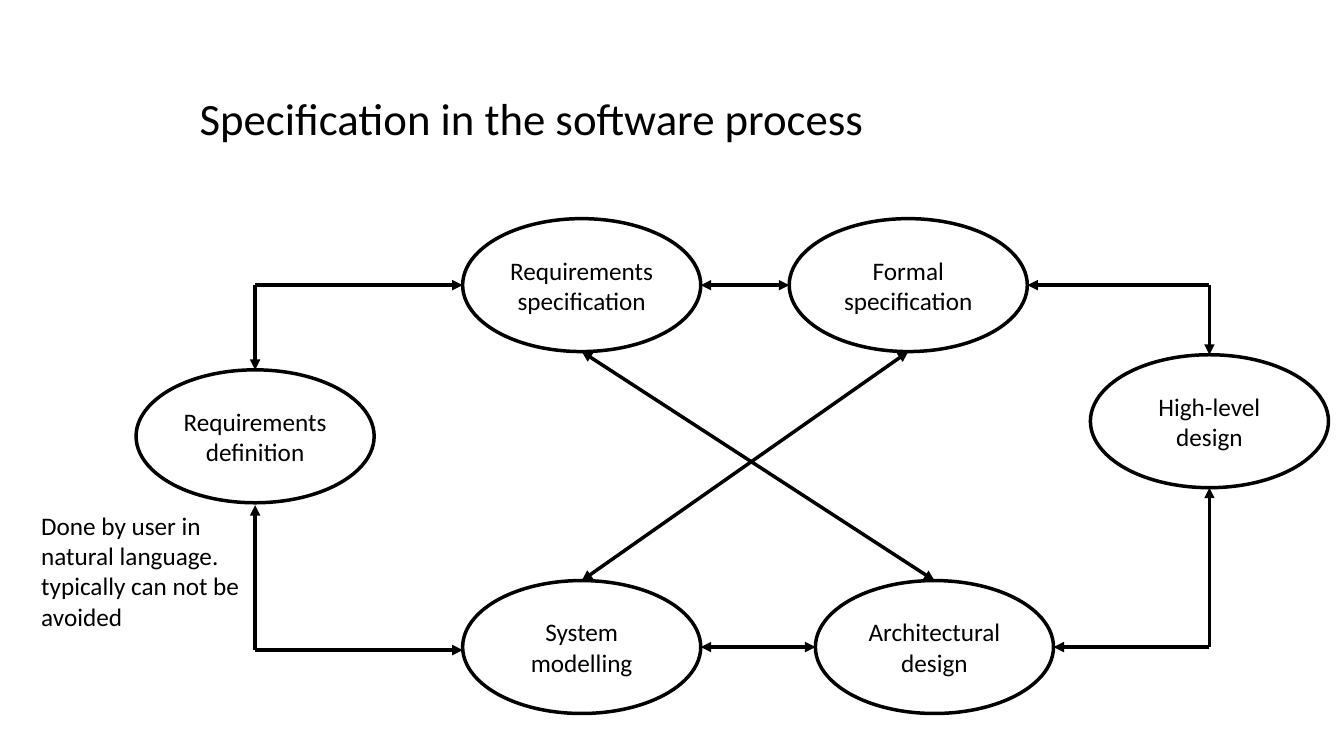
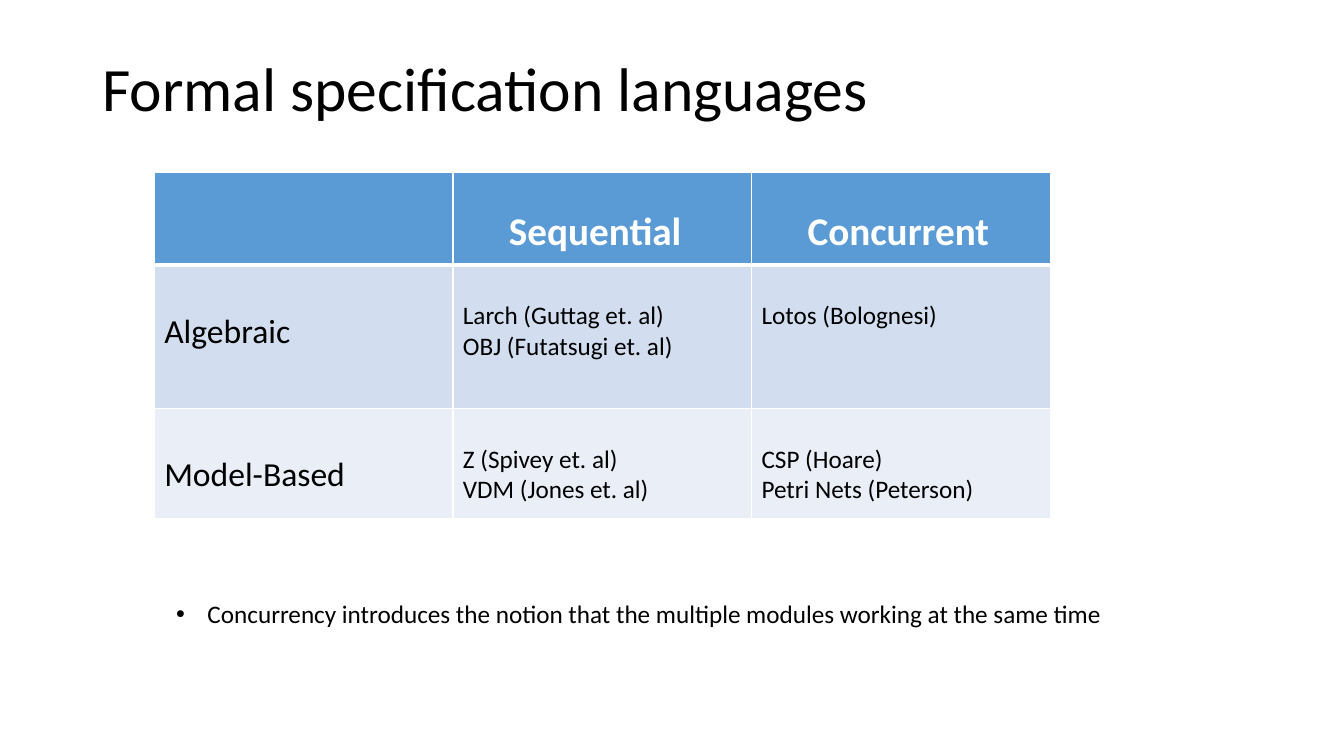
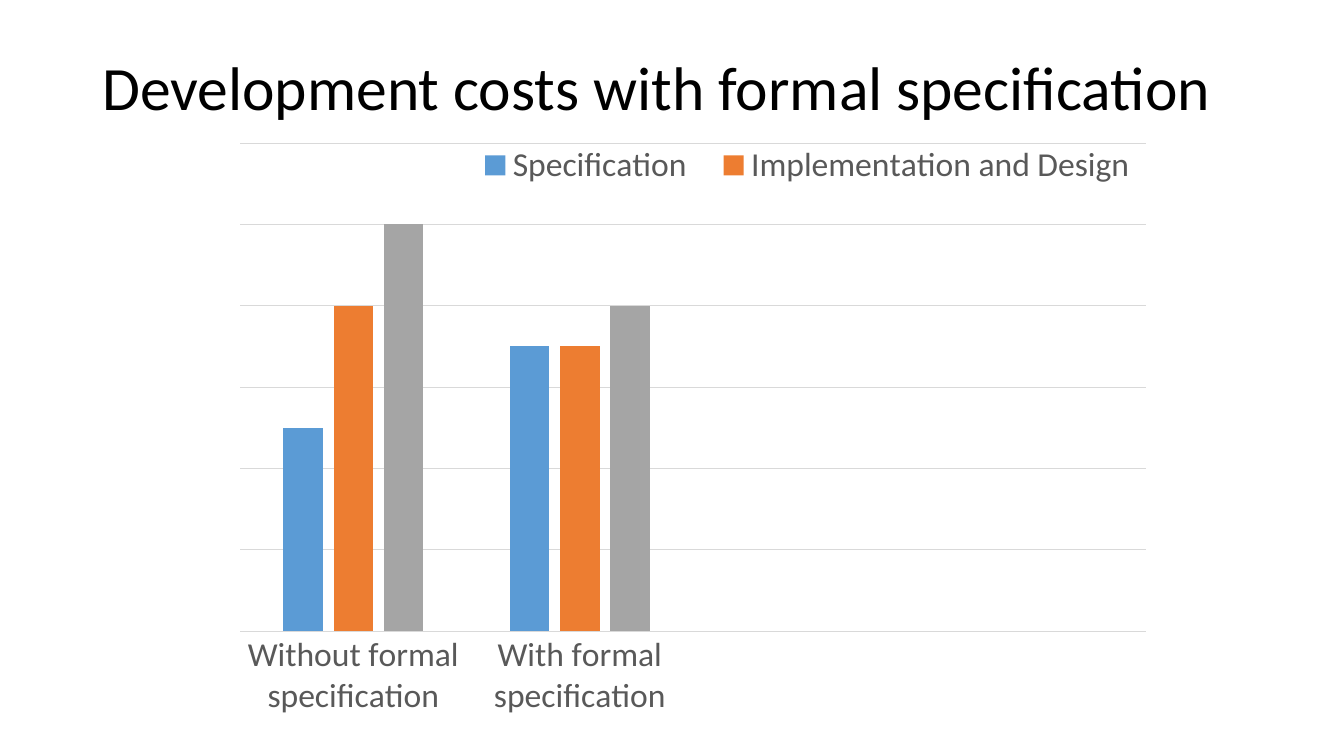
"""Build three slides on formal specification."""
from dataclasses import dataclass
from itertools import pairwise
from typing import Any

import lxml.etree
import pptx
import pptx.chart.data
import pptx.dml.color
import pptx.enum.chart
import pptx.enum.shapes
import pptx.enum.text
import pptx.oxml.ns
import pptx.util

Cm = pptx.util.Cm
Pt = pptx.util.Pt
qn = pptx.oxml.ns.qn
Point = tuple[float, float]


def tint(code: str) -> pptx.dml.color.RGBColor:
    """Return the colour for a hex code."""
    return pptx.dml.color.RGBColor.from_string(code)


@dataclass(frozen=True)
class Theme:
    """Hold the colours, font and type sizes."""
    font: str = "Calibri"
    ink: str = "000000"
    paper: str = "FFFFFF"
    gray: str = "595959"
    rule: str = "D9D9D9"
    head: str = "5B9BD5"
    bands: tuple[str, ...] = ("D2DEEF", "EAEFF7")
    bars: tuple[str, ...] = ("5B9BD5", "ED7D31", "A5A5A5")
    title: float = 44
    lead: float = 32
    column: float = 28
    label: float = 24
    body: float = 18
    chart: float = 10
    stroke: float = 2.5


@dataclass(frozen=True)
class Box:
    """Place a block on the slide in centimetres."""
    left: float
    top: float
    width: float
    height: float

    def frame(self) -> tuple[int, ...]:
        """Return the place as lengths."""
        return tuple(Cm(v) for v in (self.left, self.top, self.width, self.height))


@dataclass(frozen=True)
class Node:
    """Describe one oval step of the process."""
    text: str
    left: float
    top: float
    width: float = 6
    height: float = 3.35

    def at(self, side: str) -> Point:
        """Return the middle point of one side."""
        dx, dy = {"n": (0.5, 0), "s": (0.5, 1), "w": (0, 0.5), "e": (1, 0.5)}[side]
        return self.left + dx * self.width, self.top + dy * self.height


@dataclass(frozen=True)
class Series:
    """Describe one set of bars, listed in the legend if named."""
    vals: tuple[int | None, ...]
    name: str = ""


THEME = Theme()
MIDDLE = pptx.enum.text.MSO_ANCHOR.MIDDLE
CENTER = pptx.enum.text.PP_ALIGN.CENTER


def put(item: Any, vals: dict[str, Any]) -> None:
    """Set each named value on an object."""
    for key, val in vals.items():
        setattr(item, key, val)


def style(font: Any, size: float, color: str = THEME.ink, bold: bool = False) -> None:
    """Apply the theme font with a size and colour."""
    put(font, {"name": THEME.font, "size": Pt(size), "bold": bold})
    font.color.rgb = tint(color)


def write(frame: Any, lines: list[str], size: float, color: str = THEME.ink,
          bold: bool = False, **form: Any) -> None:
    """Fill a text frame with styled lines."""
    for num, line in enumerate(lines):
        para = frame.paragraphs[0] if num == 0 else frame.add_paragraph()
        put(para, form)
        run = para.add_run()
        run.text = line
        style(run.font, size, color, bold)


def note(slide: Any, box: Box, text: str, size: float, **form: Any) -> Any:
    """Add a wrapped text box and return its frame."""
    frame = slide.shapes.add_textbox(*box.frame()).text_frame
    frame.word_wrap = True
    write(frame, [text], size, **form)
    return frame


def title(slide: Any, text: str, height: float) -> None:
    """Add the large slide title."""
    frame = note(slide, Box(2.33, 1.02, 29.21, height), text, THEME.title,
                 line_spacing=0.9)
    frame.vertical_anchor = MIDDLE


def oval(slide: Any, node: Node) -> None:
    """Draw one step."""
    box = Box(node.left, node.top, node.width, node.height)
    shape = slide.shapes.add_shape(pptx.enum.shapes.MSO_SHAPE.OVAL, *box.frame())
    shape.shadow.inherit = False
    shape.fill.solid()
    shape.fill.fore_color.rgb = tint(THEME.paper)
    shape.line.color.rgb = tint(THEME.ink)
    shape.line.width = Pt(THEME.stroke)
    put(shape.text_frame, {"word_wrap": True, "vertical_anchor": MIDDLE})
    write(shape.text_frame, [node.text], THEME.body, alignment=CENTER)


def route(slide: Any, *stops: Point) -> None:
    """Join the stops by lines with an arrow at both ends."""
    legs = list(pairwise(stops))
    for num, (start, end) in enumerate(legs):
        line = slide.shapes.add_connector(
            pptx.enum.shapes.MSO_CONNECTOR.STRAIGHT, *map(Cm, start + end))
        line.line.color.rgb = tint(THEME.ink)
        line.line.width = Pt(THEME.stroke)
        pen = line.line._get_or_add_ln()
        for tag, used in (("headEnd", num == 0), ("tailEnd", num == len(legs) - 1)):
            if used:
                lxml.etree.SubElement(pen, qn(f"a:{tag}"), type="triangle")
        lxml.etree.SubElement(line._element.spPr, qn("a:effectLst"))


def edge(cell: Any, widths: dict[str, float]) -> None:
    """Give a cell its borders."""
    props = cell._tc.get_or_add_tcPr()
    for num, (side, width) in enumerate(widths.items()):
        line = lxml.etree.Element(qn(f"a:ln{side}"), w=str(Pt(width)))
        fill = lxml.etree.SubElement(line, qn("a:solidFill"))
        lxml.etree.SubElement(fill, qn("a:srgbClr"), val=THEME.paper)
        props.insert(num, line)


def grid(slide: Any, box: Box, rows: list[list[list[str]]], heights: list[float]) -> None:
    """Draw the table with a header row and a label column."""
    table = slide.shapes.add_table(len(rows), len(rows[0]), *box.frame()).table
    put(table, {"first_row": False, "horz_banding": False})
    for col in table.columns:
        col.width = Cm(box.width / len(rows[0]))
    for r, row in enumerate(rows):
        table.rows[r].height = Cm(heights[r])
        for c, lines in enumerate(row):
            cell = table.cell(r, c)
            head, label = r == 0, r > 0 and c == 0
            cell.fill.solid()
            cell.fill.fore_color.rgb = tint(THEME.head if head else THEME.bands[r - 1])
            edge(cell, {"L": 1, "R": 1, "T": 3 if r == 1 else 1, "B": 3 if head else 1})
            put(cell, {"margin_left": Cm(1.41 if head else 0.25),
                       "margin_top": Cm(1.16 if label else 0.9)})
            size = THEME.column if head else THEME.label if label else THEME.body
            write(cell.text_frame, lines, size, THEME.paper if head else THEME.ink, head)


def layout(host: Any, spot: int, vals: dict[str, float], inner: bool = False) -> None:
    """Fix the place of a chart part."""
    for old in host.findall(qn("c:layout")):
        host.remove(old)
    outer = lxml.etree.Element(qn("c:layout"))
    host.insert(spot, outer)
    form = lxml.etree.SubElement(outer, qn("c:manualLayout"))
    marks = {"layoutTarget": "inner"} if inner else {}
    marks |= {"xMode": "edge", "yMode": "edge"} | vals
    for tag, val in marks.items():
        lxml.etree.SubElement(form, qn(f"c:{tag}"), val=str(val))


def bars(slide: Any, box: Box, cats: list[str], sets: list[Series]) -> None:
    """Draw the column chart."""
    data = pptx.chart.data.CategoryChartData()
    data.categories = cats
    for item in sets:
        data.add_series(item.name, item.vals)
    kind = pptx.enum.chart.XL_CHART_TYPE.COLUMN_CLUSTERED
    chart = slide.shapes.add_chart(kind, *box.frame(), data).chart
    put(chart, {"has_title": False, "has_legend": True})
    style(chart.font, THEME.chart)
    plot = chart.plots[0]
    put(plot, {"gap_width": 219, "overlap": -27, "vary_by_categories": False})
    for item, color in zip(plot.series, THEME.bars):
        item.format.fill.solid()
        item.format.fill.fore_color.rgb = tint(color)

    none = pptx.enum.chart.XL_TICK_MARK.NONE
    base, scale = chart.category_axis, chart.value_axis
    put(base, {"major_tick_mark": none, "minor_tick_mark": none})
    put(scale, {"minimum_scale": 0, "maximum_scale": 120, "major_unit": 20,
                "has_major_gridlines": True, "visible": False})
    for line in (base.format.line, scale.major_gridlines.format.line):
        line.color.rgb = tint(THEME.rule)
        line.width = Pt(0.75)

    key = chart.legend
    put(key, {"position": pptx.enum.chart.XL_LEGEND_POSITION.BOTTOM,
              "include_in_layout": False})
    for font in (base.tick_labels.font, key.font):
        style(font, THEME.label, THEME.gray)
    layout(key._element, 1, {"x": 0.25, "y": 0.1, "w": 0.73, "h": 0.07})
    for num, item in enumerate(sets):
        if not item.name:
            entry = lxml.etree.Element(qn("c:legendEntry"))
            lxml.etree.SubElement(entry, qn("c:idx"), val=str(num))
            lxml.etree.SubElement(entry, qn("c:delete"), val="1")
            key._element.insert(1, entry)
    area = chart._chartSpace.chart.plotArea
    layout(area, 0, {"x": 0.02, "y": 0.1, "w": 0.95, "h": 0.77}, True)


def process(slide: Any) -> None:
    """Draw the process diagram."""
    plan = Node("Architectural design", 20.55, 14.63)
    model = Node("System modelling", 11.66, 14.63)
    need = Node("Requirements specification", 11.66, 5.51)
    formal = Node("Formal specification", 19.89, 5.51)
    user = Node("Requirements definition", 3.43, 9.32)
    high = Node("High-level design", 27.48, 8.94)
    for node in (plan, model, need, formal, user, high):
        oval(slide, node)

    left, right = user.at("n")[0], high.at("n")[0]
    low = 16.38
    route(slide, user.at("n"), (left, need.at("w")[1]), need.at("w"))
    route(slide, need.at("e"), formal.at("w"))
    route(slide, high.at("n"), (right, formal.at("e")[1]), formal.at("e"))
    route(slide, high.at("s"), (right, plan.at("e")[1]), plan.at("e"))
    route(slide, model.at("e"), plan.at("w"))
    route(slide, (left, 12.73), (left, low), (model.left, low))
    route(slide, need.at("s"), plan.at("n"))
    route(slide, formal.at("s"), model.at("n"))

    note(slide, Box(4.78, 2.16, 23.95, 1.63),
         "Specification in the software process", THEME.lead)
    note(slide, Box(0.79, 12.73, 5.64, 3.33),
         "Done by user in natural language. typically can not be avoided", THEME.body)


def tongues(slide: Any) -> None:
    """Draw the table of languages."""
    title(slide, "Formal specification languages", 2.59)
    grid(slide, Box(3.89, 4.34, 22.58, 8.74), [
        [[], ["Sequential"], ["Concurrent"]],
        [["Algebraic"], ["Larch (Guttag et. al)", "OBJ (Futatsugi et. al)"],
         ["Lotos (Bolognesi)"]],
        [["Model-Based"], ["Z (Spivey et. al)", "VDM (Jones et. al)"],
         ["CSP (Hoare)", "Petri Nets (Peterson)"]],
    ], [2.34, 3.61, 2.79])
    frame = note(
        slide, Box(4.19, 14.96, 24.97, 1.02),
        "Concurrency introduces the notion that the multiple modules working at the same time",
        THEME.body)
    props = frame.paragraphs[0]._p.get_or_add_pPr()
    props.set("marL", str(Cm(0.79)))
    props.set("indent", str(-Cm(0.79)))
    lxml.etree.SubElement(props, qn("a:buFont"), typeface="Arial")
    lxml.etree.SubElement(props, qn("a:buChar"), char="•")


def costs(slide: Any) -> None:
    """Draw the cost chart."""
    title(slide, "Development costs with formal specification", 2.51)
    bars(slide, Box(5.57, 2.01, 24.03, 16.05),
         ["Without formal specification", "With formal specification", "", ""],
         [Series((50, 70, None, None), "Specification"),
          Series((80, 70, None, None), "Implementation and Design"),
          Series((100, 80, None, None))])


def main() -> None:
    """Build and save the slides."""
    deck = pptx.Presentation()
    put(deck, {"slide_width": Cm(33.87), "slide_height": Cm(19.05)})
    for draw in (process, tongues, costs):
        draw(deck.slides.add_slide(deck.slide_layouts[6]))
    deck.save("out.pptx")


main()
